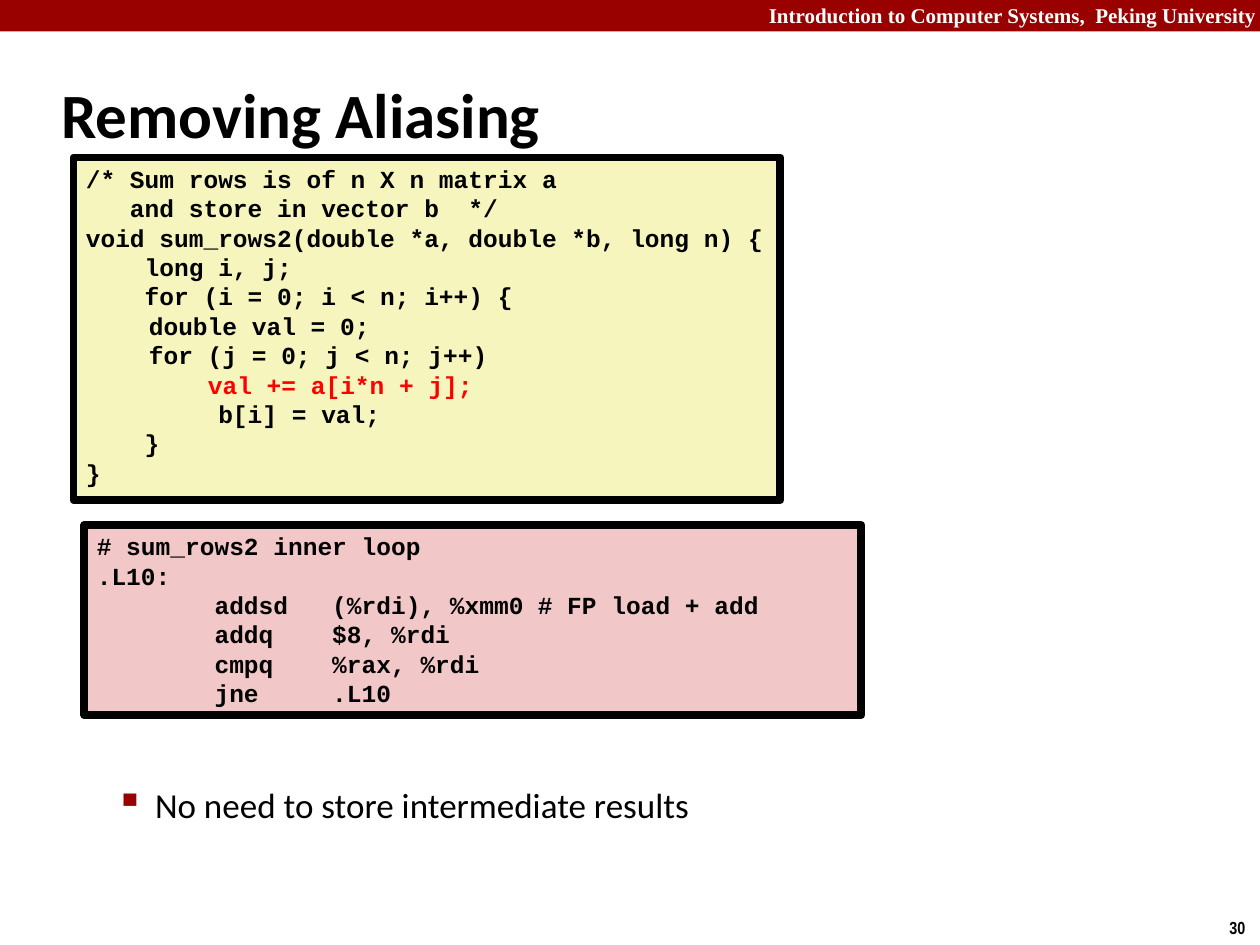
"""Build the slide on removing aliasing in a row-sum loop."""
from lxml.etree import SubElement as Sub
from pptx import Presentation
from pptx.dml.color import RGBColor as Rgb
from pptx.enum.shapes import MSO_SHAPE as Kind
from pptx.enum.text import MSO_ANCHOR as Anchor, PP_ALIGN as Align
from pptx.oxml.ns import qn
from pptx.util import Pt

HUES = {
    "bar": "990000",
    "ink": "000000",
    "paper": "FFFFFF",
    "hot": "FF0000",
    "cream": "F6F5BD",
    "rose": "F1C7C7",
}

SOURCE = [
    [("/* Sum rows is of n X n matrix a", "ink")],
    [("   and store in vector b  */", "ink")],
    [("void sum_rows2(double *a, double *b, long n) {", "ink")],
    [("    long i, j;", "ink")],
    [("    for (i = 0; i < n; i++) {", "ink")],
    [("\tdouble val = 0;", "ink")],
    [("\tfor (j = 0; j < n; j++)", "ink")],
    [("\t    ", "ink"), ("val += a[i*n + j];", "hot")],
    [("         b[i] = val;", "ink")],
    [("    }", "ink")],
    [("}", "ink")],
]

LOOP = [
    [("# sum_rows2 inner loop", "ink")],
    [(".L10:", "ink")],
    [("        addsd   (%rdi), %xmm0\t# FP load + add", "ink")],
    [("        addq    $8, %rdi", "ink")],
    [("        cmpq    %rax, %rdi", "ink")],
    [("        jne     .L10", "ink")],
]


def tint(hue):
    return Rgb.from_string(HUES[hue])


def add_run(para, text, face, size, hue="ink", bold=True):
    run = para.add_run()
    run.text = text
    font = run.font
    font.name, font.size, font.bold = face, Pt(size), bold
    font.color.rgb = tint(hue)


def add_label(slide, spot, text, face, size, hue="ink", bold=True, wrap=True):
    frame = slide.shapes.add_textbox(*map(Pt, spot)).text_frame
    frame.word_wrap = wrap
    para = frame.paragraphs[0]
    add_run(para, text, face, size, hue, bold)
    return frame, para


def add_rect(slide, spot, fill):
    rect = slide.shapes.add_shape(Kind.RECTANGLE, *map(Pt, spot))
    rect.shadow.inherit = False
    rect.fill.solid()
    rect.fill.fore_color.rgb = tint(fill)
    rect.line.fill.background()
    return rect


def add_code(slide, spot, fill, lines, wrap):
    rect = add_rect(slide, spot, fill)
    rect.line.color.rgb = tint("ink")
    rect.line.width = Pt(4.5)
    frame = rect.text_frame
    frame.word_wrap = wrap
    frame.vertical_anchor = Anchor.TOP
    for row, parts in enumerate(lines):
        para = frame.add_paragraph() if row else frame.paragraphs[0]
        para.alignment = Align.LEFT
        for text, hue in parts:
            add_run(para, text, "Courier New", 14, hue)


def add_bullet(para, left, hang):
    props = para._p.get_or_add_pPr()
    props.set("marL", str(Pt(left)))
    props.set("indent", str(-Pt(hang)))
    Sub(Sub(props, qn("a:buClr")), qn("a:srgbClr"), val=HUES["bar"])
    Sub(props, qn("a:buSzPct"), val="110000")
    Sub(props, qn("a:buChar"), char="▪")


def main():
    deck = Presentation()
    deck.slide_width, deck.slide_height = Pt(720), Pt(540)
    slide = deck.slides.add_slide(deck.slide_layouts[6])

    add_rect(slide, (0, 0, 720, 18), "bar")
    _, head = add_label(
        slide, (432, -2, 293, 21.6),
        "Introduction to Computer Systems,  Peking University",
        "Times New Roman", 12, "paper")
    head.alignment = Align.RIGHT
    add_label(slide, (695.5, 520.5, 24.5, 19.5), "30",
              "Arial Narrow", 10, wrap=False)

    title, _ = add_label(slide, (28, 34.5, 598, 60), "Removing Aliasing",
                         "Calibri", 36)
    title.vertical_anchor = Anchor.MIDDLE
    _, point = add_label(slide, (23, 444, 654.5, 63.5),
                         "No need to store intermediate results",
                         "Calibri", 20, bold=False)
    add_bullet(point, 58.5, 22.5)

    add_code(slide, (48.25, 300, 444, 108.7), "rose", LOOP, True)
    add_code(slide, (42, 90, 404, 195.8), "cream", SOURCE, False)
    deck.save("out.pptx")


if __name__ == "__main__":
    main()
